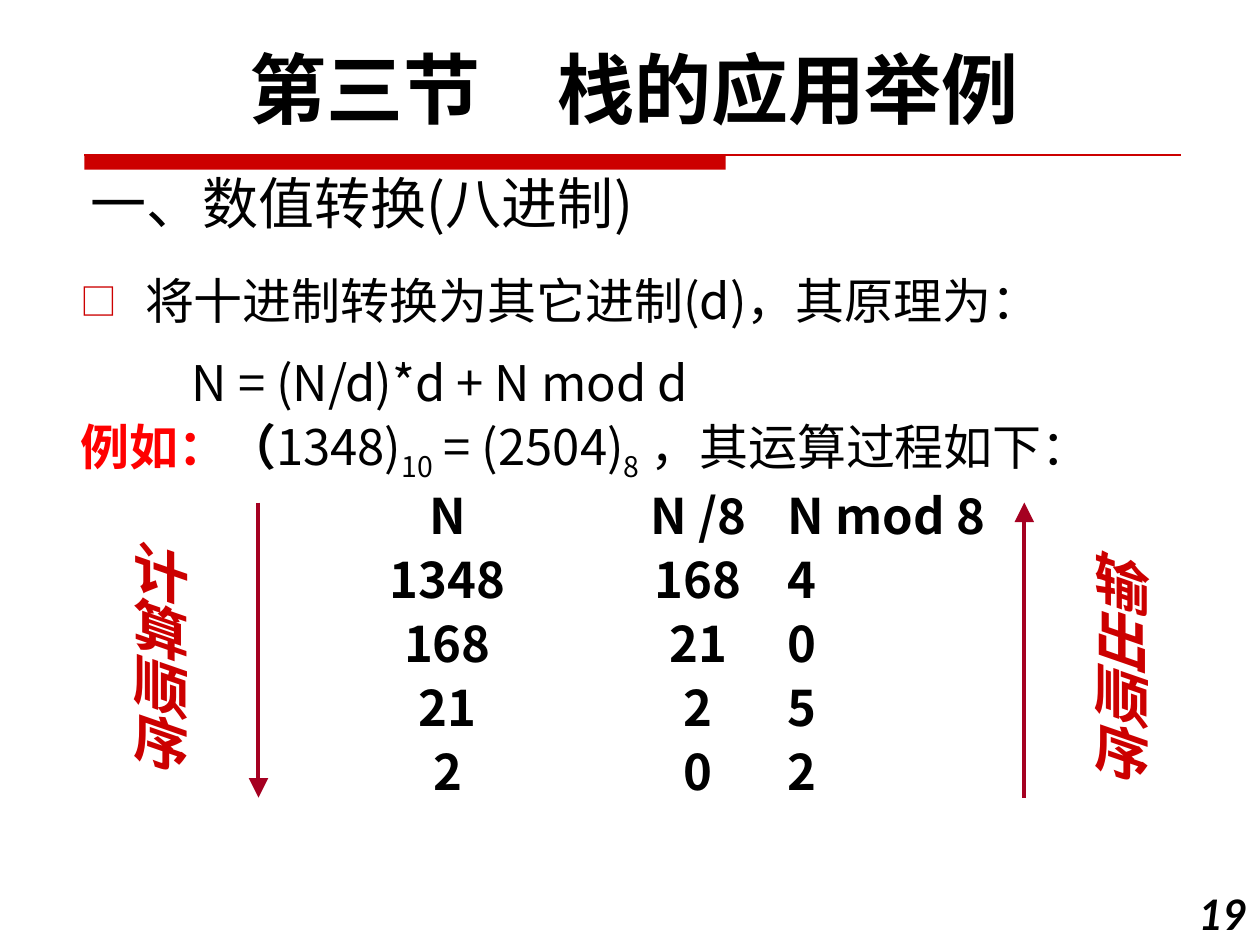
from dataclasses import dataclass

from lxml import etree
from pptx import Presentation
from pptx.dml.color import RGBColor
from pptx.enum.shapes import MSO_CONNECTOR, MSO_SHAPE
from pptx.enum.text import MSO_ANCHOR, MSO_AUTO_SIZE, PP_ALIGN
from pptx.oxml.ns import qn
from pptx.util import Cm, Pt

STRAIGHT = MSO_CONNECTOR.STRAIGHT
RECTANGLE = MSO_SHAPE.RECTANGLE
LEFT, CENTER, RIGHT = PP_ALIGN.LEFT, PP_ALIGN.CENTER, PP_ALIGN.RIGHT
TOP, MIDDLE, BOTTOM = MSO_ANCHOR.TOP, MSO_ANCHOR.MIDDLE, MSO_ANCHOR.BOTTOM
NO_FIT = MSO_AUTO_SIZE.NONE
PLAIN_TABLE = "{2D5ABB26-0587-4C30-8999-92F81FD0307C}"


@dataclass(frozen=True)
class Theme:
    black: RGBColor = RGBColor(0, 0, 0)
    rule: RGBColor = RGBColor(0xCC, 0, 0)
    example: RGBColor = RGBColor(0xFF, 0, 0)
    arrow: RGBColor = RGBColor(0xA5, 0, 0x21)
    cjk: str = "Noto Sans CJK SC"
    latin: str = "Lato"
    serif: str = "Times New Roman"
    heading_size: int = 44
    title_size: int = 32
    body_size: int = 28
    number_size: int = 24
    body_line: int = 34


THEME = Theme()
ROWS = [
    ("N", "N /8", "N mod 8"),
    ("1348", "168", "4"),
    ("168", "21", "0"),
    ("21", "2", "5"),
    ("2", "0", "2"),
]
COLUMNS = [(6.5, CENTER), (3.61, CENTER), (4.45, LEFT)]
ROW_HEIGHT = 1.29


def format_run(run, size, font, color=THEME.black, bold=False, italic=False):
    run.font.size = Pt(size)
    run.font.name = font
    run.font.bold = bold
    run.font.italic = italic
    run.font.color.rgb = color
    east_asian = etree.SubElement(run.font._element, qn("a:ea"))
    east_asian.set("typeface", THEME.cjk)


def place(shape, left, top, width, height):
    shape.left, shape.top = Cm(left), Cm(top)
    shape.width, shape.height = Cm(width), Cm(height)


def set_text(shape, text, size, font, align=LEFT, anchor=TOP, **style):
    frame = shape.text_frame
    frame.text = text
    frame.word_wrap = True
    frame.auto_size = NO_FIT
    frame.vertical_anchor = anchor
    paragraph = frame.paragraphs[0]
    paragraph.alignment = align
    format_run(paragraph.runs[0], size, font, **style)


def add_label(slide, box, text, size, font, **style):
    label = slide.shapes.add_textbox(*map(Cm, box))
    set_text(label, text, size, font, **style)
    return label


def add_vertical_label(slide, left, top, text):
    label = add_label(slide, (left, top, 1.88, 4.67), text, THEME.title_size,
                      THEME.serif, color=THEME.rule, bold=True, italic=True)
    label.text_frame.word_wrap = False
    label.text_frame._txBody.bodyPr.set("vert", "eaVert")


def add_line(slide, start, end, color, width, arrow=False):
    line = slide.shapes.add_connector(STRAIGHT, *map(Cm, start + end))
    line.line.color.rgb = color
    line.line.width = Pt(width)
    if arrow:
        tail = etree.SubElement(line.line._get_or_add_ln(), qn("a:tailEnd"))
        for name, value in (("type", "triangle"), ("w", "lg"), ("len", "lg")):
            tail.set(name, value)
    etree.SubElement(line._element.spPr, qn("a:effectLst"))


def add_title_rule(slide):
    bar = slide.shapes.add_shape(RECTANGLE, Cm(1.7), Cm(3.12), Cm(12.93), Cm(0.3))
    bar.shadow.inherit = False
    bar.fill.solid()
    bar.fill.fore_color.rgb = THEME.rule
    bar.line.fill.background()
    add_line(slide, (1.7, 3.12), (23.8, 3.12), THEME.rule, 1)


def layout_paragraph(paragraph, before, margin=0, bullet=None):
    paragraph.alignment = LEFT
    paragraph.line_spacing = Pt(THEME.body_line)
    paragraph.space_before = Pt(before)
    properties = paragraph._p.get_or_add_pPr()
    properties.set("marL", str(Cm(margin)))
    properties.set("indent", str(-Cm(margin) if bullet else 0))
    if bullet:
        color = etree.SubElement(properties, qn("a:buClr"))
        etree.SubElement(color, qn("a:srgbClr")).set("val", str(THEME.rule))
        etree.SubElement(properties, qn("a:buSzPct")).set("val", "75000")
        etree.SubElement(properties, qn("a:buFont")).set("typeface", THEME.cjk)
        etree.SubElement(properties, qn("a:buChar")).set("char", bullet)
    else:
        etree.SubElement(properties, qn("a:buNone"))


def add_body_run(paragraph, text, subscript=False, **style):
    run = paragraph.add_run()
    run.text = text
    format_run(run, THEME.body_size, THEME.cjk, **style)
    if subscript:
        run.font._element.set("baseline", "-25000")


def fill_body(body):
    place(body, 1.37, 5.31, 24, 4.4)
    frame = body.text_frame
    frame.word_wrap = True
    frame.auto_size = NO_FIT
    frame.vertical_anchor = TOP

    principle = frame.paragraphs[0]
    layout_paragraph(principle, 0, margin=1.3, bullet="□")
    add_body_run(principle, "将十进制转换为其它进制(d)，其原理为：")

    formula = frame.add_paragraph()
    layout_paragraph(formula, 13, margin=2.24)
    add_body_run(formula, "N = (N/d)*d + N mod d")

    example = frame.add_paragraph()
    layout_paragraph(example, 7)
    add_body_run(example, "例如：", color=THEME.example, bold=True)
    add_body_run(example, "（", bold=True)
    add_body_run(example, "1348)")
    add_body_run(example, "10", subscript=True)
    add_body_run(example, " = (2504)")
    add_body_run(example, "8", subscript=True)
    add_body_run(example, " ，其运算过程如下：")


def fill_cell(cell, text, align):
    cell.fill.background()
    cell.margin_left = cell.margin_right = cell.margin_top = cell.margin_bottom = 0
    cell.vertical_anchor = MIDDLE
    paragraph = cell.text_frame.paragraphs[0]
    paragraph.text = text
    paragraph.alignment = align
    paragraph.line_spacing = Pt(THEME.body_line)
    format_run(paragraph.runs[0], THEME.body_size, THEME.cjk, bold=True)


def add_division_table(slide, left, top):
    width = sum(column_width for column_width, _ in COLUMNS)
    table = slide.shapes.add_table(len(ROWS), len(COLUMNS), Cm(left), Cm(top),
                                   Cm(width), Cm(ROW_HEIGHT * len(ROWS))).table
    table.first_row = table.horz_banding = False
    table._tbl.tblPr.find(qn("a:tableStyleId")).text = PLAIN_TABLE
    for column, (column_width, align) in enumerate(COLUMNS):
        table.columns[column].width = Cm(column_width)
        for row, values in enumerate(ROWS):
            fill_cell(table.cell(row, column), values[column], align)


def main():
    presentation = Presentation()
    presentation.slide_width, presentation.slide_height = Cm(25.4), Cm(19.05)
    slide = presentation.slides.add_slide(presentation.slide_layouts[1])
    add_title_rule(slide)

    title = slide.shapes.title
    place(title, 1.57, 2.98, 15.88, 1.9)
    set_text(title, "一、数值转换(八进制)", THEME.title_size, THEME.cjk, anchor=BOTTOM)
    fill_body(slide.placeholders[1])
    add_division_table(slide, 5.77, 9.82)

    add_label(slide, (1.04, 0.71, 23.5, 2.13), "第三节　栈的应用举例",
              THEME.heading_size, THEME.latin, align=CENTER, anchor=MIDDLE, bold=True)
    add_label(slide, (23.7, 17.78, 1.7, 1.27), "19", THEME.number_size,
              THEME.latin, align=RIGHT, bold=True, italic=True)

    add_line(slide, (5.21, 10.13), (5.21, 16.08), THEME.arrow, 2.25, arrow=True)
    add_line(slide, (20.65, 16.08), (20.65, 10.13), THEME.arrow, 2.25, arrow=True)
    add_vertical_label(slide, 2.46, 10.57, "计算顺序")
    add_vertical_label(slide, 21.84, 10.77, "输出顺序")
    presentation.save("out.pptx")


if __name__ == "__main__":
    main()
